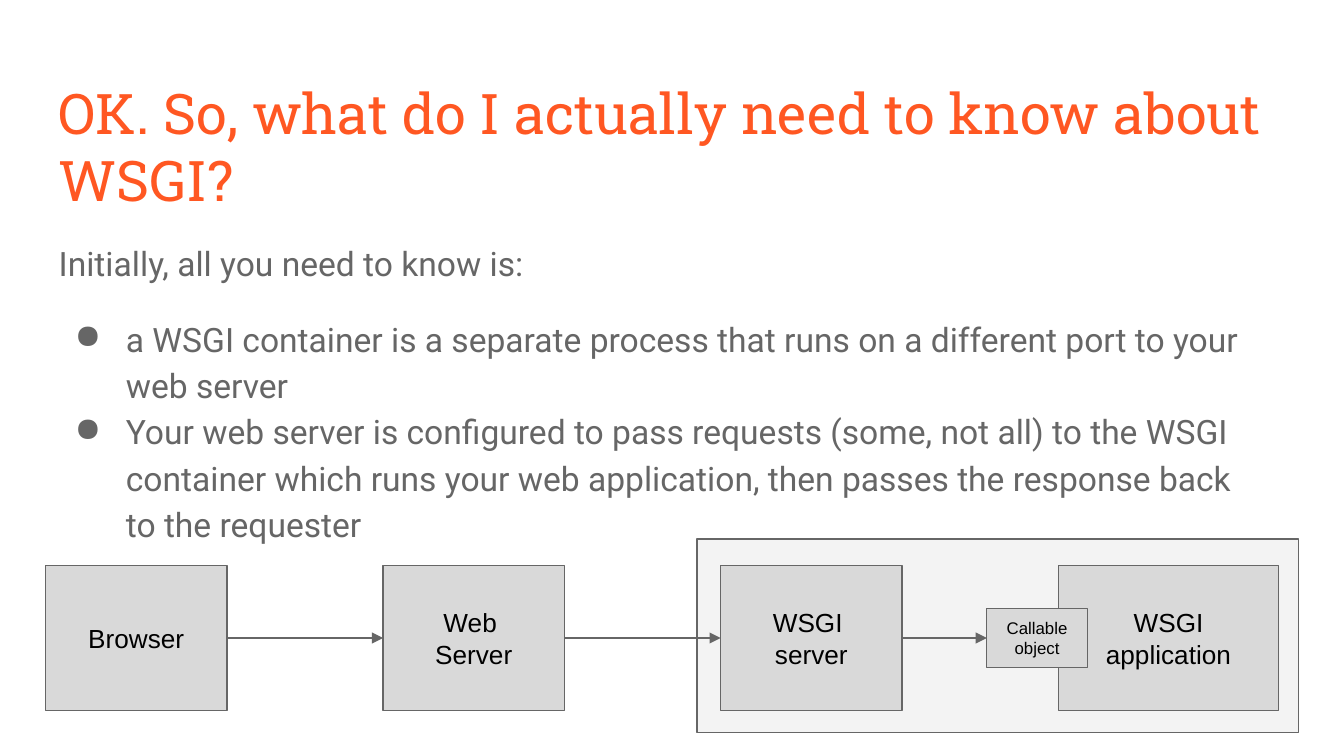
from lxml.etree import SubElement
from pptx import Presentation
from pptx.dml.color import RGBColor
from pptx.enum.shapes import MSO_CONNECTOR as Connector, MSO_SHAPE as Shape
from pptx.enum.text import MSO_ANCHOR as Anchor, PP_ALIGN as Align
from pptx.oxml.ns import qn
from pptx.util import Cm, Pt

COLORS = {
    "title": "FF5722",
    "gray": "666666",
    "panel": "F3F3F3",
    "box": "D9D9D9",
    "label": "000000",
}
TOP, LEFT, RIGHT = 0, 1, 3
INSET = 0.25


def color(name):
    return RGBColor.from_string(COLORS[name])


def write(frame, text, *, font, size, ink, align=Align.LEFT, anchor=Anchor.TOP,
          spacing=None, bullets_from=None, gap=0):
    frame.word_wrap = True
    frame.vertical_anchor = anchor
    frame.margin_left = frame.margin_right = Cm(INSET)
    frame.margin_top = frame.margin_bottom = Cm(INSET)
    for index, line in enumerate(text.split("\n")):
        para = frame.paragraphs[0] if index == 0 else frame.add_paragraph()
        para.alignment = align
        if spacing:
            para.line_spacing = spacing
        if bullets_from is not None and index >= bullets_from:
            para.space_before = Pt(gap if index == bullets_from else 0)
            add_bullet(para)
        span = para.add_run()
        span.text = line
        span.font.name = font
        span.font.size = Pt(size)
        span.font.color.rgb = color(ink)


def add_bullet(para):
    properties = para._p.get_or_add_pPr()
    properties.set("marL", str(Cm(1.27)))
    properties.set("indent", str(-Cm(0.97)))
    bullet_color = SubElement(properties, qn("a:buClr"))
    SubElement(bullet_color, qn("a:srgbClr"), val=COLORS["gray"])
    SubElement(properties, qn("a:buChar"), char="●")


def add_text(page, box, text, **style):
    area = page.shapes.add_textbox(*map(Cm, box))
    write(area.text_frame, text, **style)


def add_box(page, box, fill, text=None, size=14):
    shape = page.shapes.add_shape(Shape.RECTANGLE, *map(Cm, box))
    shape.shadow.inherit = False
    shape.fill.solid()
    shape.fill.fore_color.rgb = color(fill)
    shape.line.color.rgb = color("gray")
    shape.line.width = Pt(0.75)
    if text:
        write(shape.text_frame, text, font="Arial", size=size, ink="label",
              align=Align.CENTER, anchor=Anchor.MIDDLE)
    return shape


def add_arrow(page, source, target):
    arrow = page.shapes.add_connector(Connector.STRAIGHT, 0, 0, 0, 0)
    arrow.begin_connect(source, RIGHT)
    arrow.end_connect(target, LEFT)
    arrow.line.color.rgb = color("gray")
    arrow.line.width = Pt(0.75)
    properties = arrow._element.spPr
    SubElement(properties.find(qn("a:ln")), qn("a:tailEnd"), type="triangle")
    SubElement(properties, qn("a:effectLst"))


def add_title(page, box):
    add_text(page, box, "OK. So, what do I actually need to know about WSGI?",
             font="Roboto Slab", size=30, ink="title")


def add_body(page, box):
    lines = [
        "Initially, all you need to know is:",
        "a WSGI container is a separate process that runs on a different port "
        "to your web server",
        "Your web server is configured to pass requests (some, not all) to the "
        "WSGI container which runs your web application, then passes the "
        "response back to the requester",
    ]
    add_text(page, box, "\n".join(lines), font="Roboto", size=18, ink="gray",
             spacing=1.15, bullets_from=1, gap=16)


def add_request_flow(page, box):
    left, top, width, height = box
    pitch, stage_width, app_width = 6.38, 3.43, 4.17
    callable_width, callable_height, overlap = 1.9, 1.12, 0.55
    margin = 0.45
    panel_left = left + 2 * pitch - margin
    panel_box = (panel_left, top - 0.5, left + width - panel_left, height + 0.92)
    add_box(page, panel_box, "panel")

    stages = [
        ("Browser", stage_width),
        ("Web \nServer", stage_width),
        ("WSGI \nserver", stage_width),
        ("WSGI application", app_width),
    ]
    browser, web_server, wsgi_server, _ = [
        add_box(page, (left + index * pitch, top, stage, height), "box", text)
        for index, (text, stage) in enumerate(stages)
    ]
    callable_box = (left + 3 * pitch + overlap - callable_width,
                    top + (height - callable_height) / 2,
                    callable_width, callable_height)
    callable_object = add_box(page, callable_box, "box", "Callable object", 9)

    chain = [browser, web_server, wsgi_server, callable_object]
    for source, target in zip(chain, chain[1:]):
        add_arrow(page, source, target)


def main():
    deck = Presentation()
    deck.slide_width, deck.slide_height = Cm(25.4), Cm(14.29)
    page = deck.slides.add_slide(deck.slide_layouts[6])
    add_title(page, (0.86, 1.24, 23.67, 1.6))
    add_body(page, (0.86, 4.22, 23.27, 8.05))
    add_request_flow(page, (0.86, 10.69, 23.68, 2.74))
    deck.save("out.pptx")


if __name__ == "__main__":
    main()
